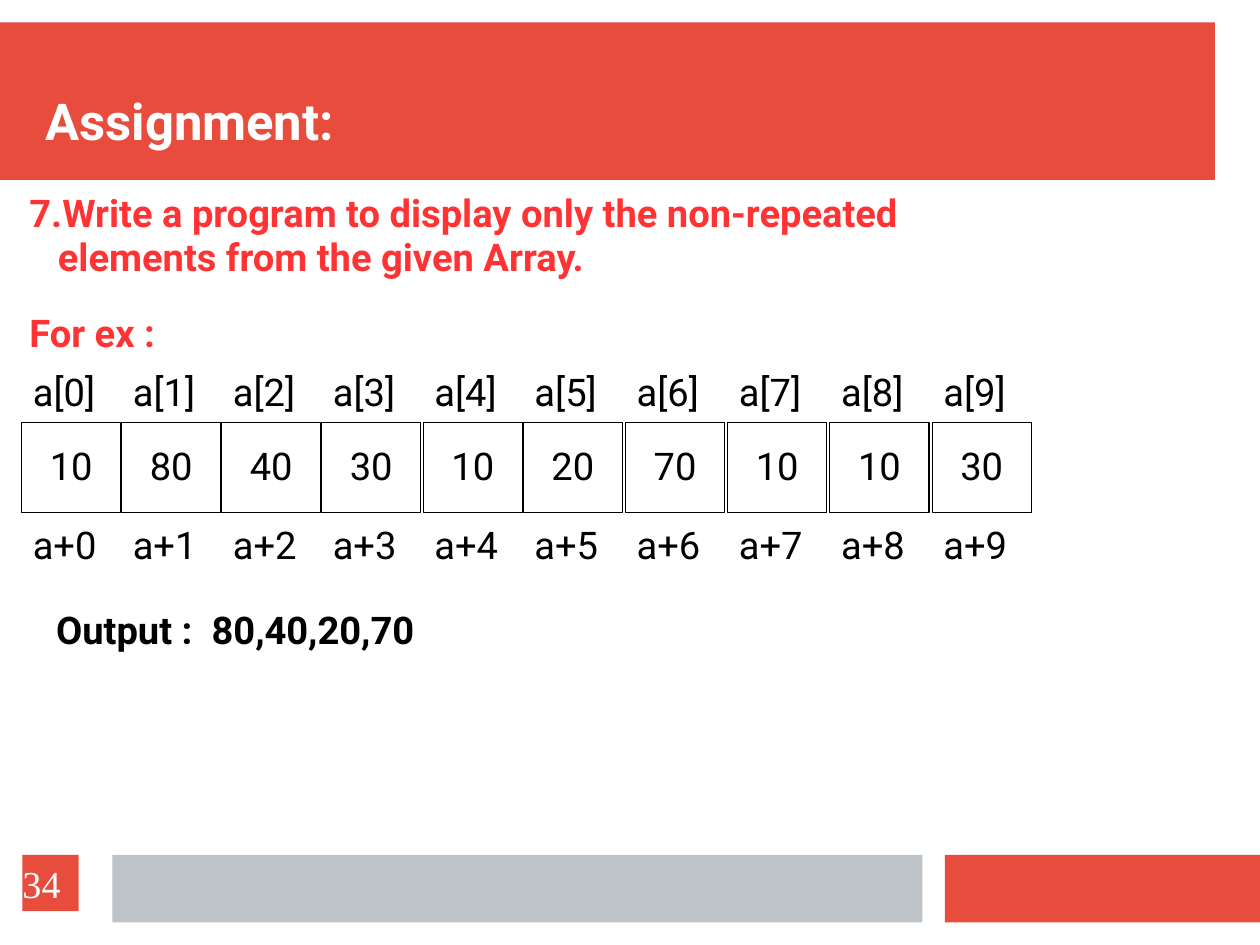
from itertools import accumulate

from lxml.etree import SubElement
from pptx import Presentation
from pptx.dml.color import RGBColor
from pptx.enum.shapes import MSO_SHAPE
from pptx.enum.text import MSO_ANCHOR, PP_ALIGN
from pptx.oxml.ns import qn
from pptx.util import Pt

RED, GREY, WHITE, BLACK, QUESTION_RED = "E74C3C", "BDC3C7", "FFFFFF", "000000", "FF3333"
VALUES = [10, 80, 40, 30, 10, 20, 70, 10, 10, 30]
CELL_STEPS = [63, 63, 63, 64, 63] + [64.4] * 4
TEXT_INSETS = (7.2, 3.6)


def color(hex_string):
    return RGBColor.from_string(hex_string)


def write(shape, text, size=24, font="Roboto", fill=BLACK, bold=False,
          align=PP_ALIGN.LEFT, anchor=MSO_ANCHOR.TOP, insets=TEXT_INSETS, spacing=0.97):
    frame = shape.text_frame
    frame.word_wrap = True
    frame.vertical_anchor = anchor
    frame.margin_left = frame.margin_right = Pt(insets[0])
    frame.margin_top = frame.margin_bottom = Pt(insets[1])
    frame.text = text
    for paragraph in frame.paragraphs:
        paragraph.alignment = align
        paragraph.line_spacing = spacing
        for run in paragraph.runs:
            run.font.size = Pt(size)
            run.font.name = font
            run.font.bold = bold
            run.font.color.rgb = color(fill)
    return frame


def add_text(slide, box, text, **style):
    return write(slide.shapes.add_textbox(*map(Pt, box)), text, **style)


def add_rectangle(slide, box, fill, line=None):
    shape = slide.shapes.add_shape(MSO_SHAPE.RECTANGLE, *map(Pt, box))
    shape.shadow.inherit = False
    shape.fill.solid()
    shape.fill.fore_color.rgb = color(fill)
    if line:
        shape.line.color.rgb = color(line)
        shape.line.width = Pt(0.75)
    else:
        shape.line.fill.background()
    return shape


def add_header(slide, left, top, width, height):
    add_rectangle(slide, (left, top, width, height), RED)
    add_text(slide, (left + 28.4, top + 14, width - 32, 67.6), "Assignment:", size=32,
             fill=WHITE, bold=True, anchor=MSO_ANCHOR.BOTTOM, insets=(0, 0))


def add_footer(slide, left, top, width, height):
    add_rectangle(slide, (left + 56.7, top, 510.2, height), GREY)
    add_rectangle(slide, (left + 581.1, top, width - 581.1, height), RED)
    number = add_rectangle(slide, (left, top, 35.4, 35.4), RED)
    write(number, "34", font="Times New Roman", fill=WHITE,
          anchor=MSO_ANCHOR.MIDDLE, insets=(0, 0), spacing=1.0)


def add_question(slide, left, top, width, height):
    frame = add_text(
        slide, (left, top, width, height),
        "7.Write a program to display only the non-repeated\nelements from the given Array.",
        fill=QUESTION_RED, bold=True)
    frame.paragraphs[1]._p.get_or_add_pPr().set("marL", str(Pt(18)))
    add_text(slide, (left, top + 75.6, 124.6, 36), "For ex :", fill=QUESTION_RED, bold=True)


def add_array(slide, left, top, cell_width, cell_height):
    """Draw the cells with their index above and their address below."""
    lefts = accumulate(CELL_STEPS, initial=left)
    for index, (cell_left, value) in enumerate(zip(lefts, VALUES)):
        cell = add_rectangle(slide, (cell_left, top, cell_width, cell_height), WHITE, BLACK)
        write(cell, str(value), align=PP_ALIGN.CENTER, anchor=MSO_ANCHOR.MIDDLE)
        add_text(slide, (cell_left, top - 36, 63.4, 36), f"a[{index}]")
        add_text(slide, (cell_left, top + 60.3, 64, 36), f"a+{index}")


def add_output(slide, left, top, width, height):
    frame = add_text(slide, (left, top, width, height), "Output :\t80,40,20,70", bold=True)
    properties = frame.paragraphs[0]._p.get_or_add_pPr()
    tabs = SubElement(properties, qn("a:tabLst"))
    SubElement(tabs, qn("a:tab"), pos=str(Pt(98)), algn="l")


def main():
    presentation = Presentation()
    presentation.slide_width = Pt(793.75)
    presentation.slide_height = Pt(595.25)
    slide = presentation.slides.add_slide(presentation.slide_layouts[6])
    add_header(slide, 0, 14.17, 765.35, 99.2)
    add_footer(slide, 14.17, 538.55, 779.5, 42.5)
    add_array(slide, 13.6, 266.2, 62.5, 56.8)
    add_question(slide, 11.4, 117.4, 688, 64)
    add_output(slide, 28.2, 379.9, 325.4, 147.6)
    presentation.save("out.pptx")


if __name__ == "__main__":
    main()
